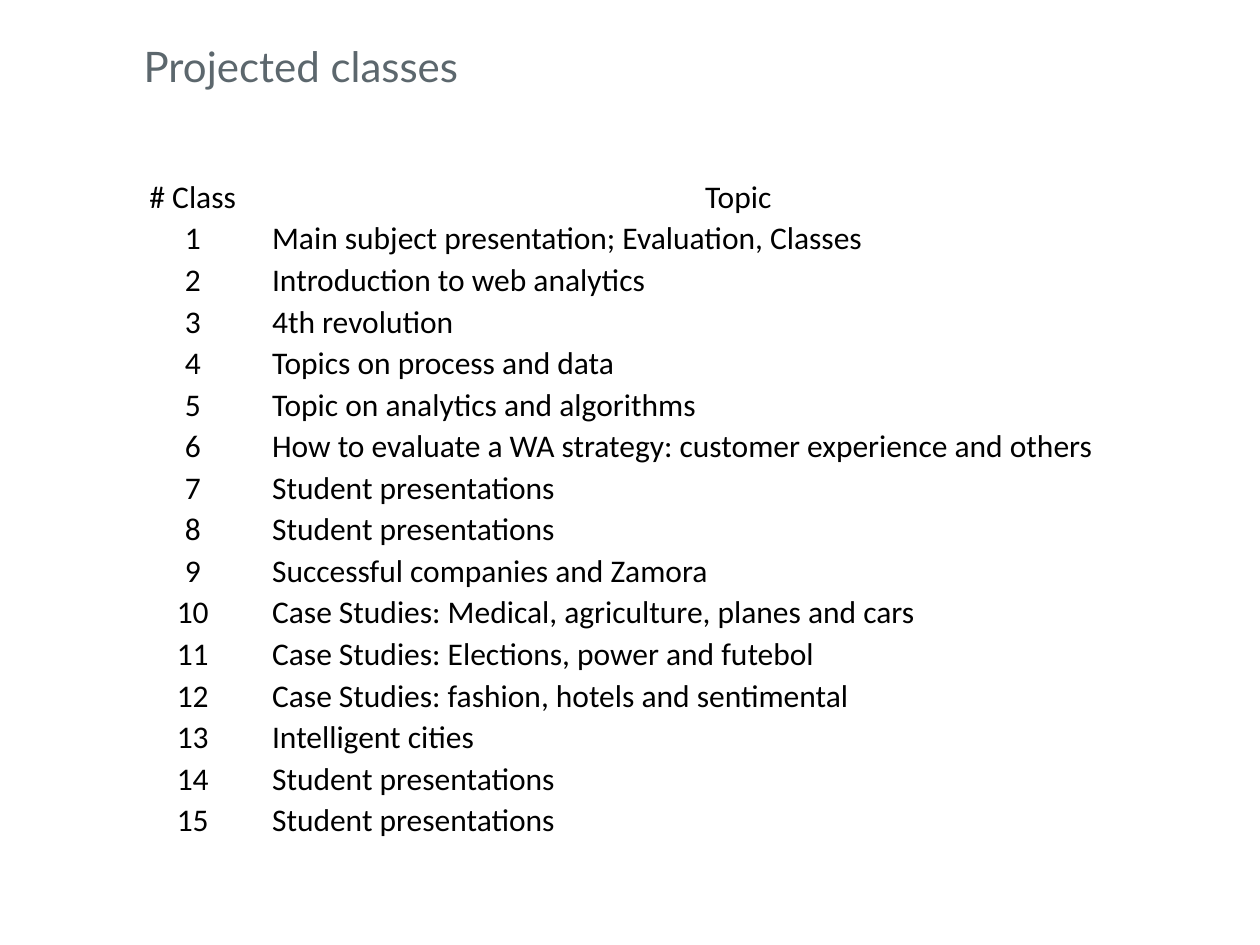
from dataclasses import dataclass

from pptx import Presentation
from pptx.dml.color import RGBColor
from pptx.enum.text import MSO_ANCHOR, PP_ALIGN
from pptx.util import Inches, Pt

LEFT, CENTER = PP_ALIGN.LEFT, PP_ALIGN.CENTER
MIDDLE, BOTTOM = MSO_ANCHOR.MIDDLE, MSO_ANCHOR.BOTTOM

SLIDE_WIDTH, SLIDE_HEIGHT = 10, 7.5
ROW_HEIGHT = 0.33
COLUMN_WIDTHS = (1.24, 7.42)
CELL_INSET = 0.01

TOPICS = (
    "Main subject presentation; Evaluation, Classes",
    "Introduction to web analytics",
    "4th revolution",
    "Topics on process and data",
    "Topic on analytics and algorithms",
    "How to evaluate a WA strategy: customer experience and others",
    "Student presentations",
    "Student presentations",
    "Successful companies and Zamora",
    "Case Studies: Medical, agriculture, planes and cars",
    "Case Studies: Elections, power and futebol",
    "Case Studies: fashion, hotels and sentimental",
    "Intelligent cities",
    "Student presentations",
    "Student presentations",
)


@dataclass(frozen=True)
class ClassRow:
    number: str
    topic: str
    topic_alignment: PP_ALIGN = LEFT


def color(value: str) -> RGBColor:
    return RGBColor.from_string(value)


def write_text(text_frame, text: str, *, size: float, font: str, fill: str,
               alignment: PP_ALIGN = LEFT) -> None:
    paragraph = text_frame.paragraphs[0]
    paragraph.alignment = alignment
    run = paragraph.add_run()
    run.text = text
    run.font.size = Pt(size)
    run.font.name = font
    run.font.color.rgb = color(fill)


def add_title(slide, text: str) -> None:
    shape = slide.shapes.add_textbox(Inches(1.14), Inches(-0.1), Inches(8.82), Inches(1.25))
    frame = shape.text_frame
    frame.word_wrap = True
    frame.vertical_anchor = MIDDLE
    frame.margin_left = frame.margin_right = frame.margin_top = frame.margin_bottom = 0
    write_text(frame, text, size=24, font="Lato", fill="5C676D")


def fill_cell(cell, text: str, alignment: PP_ALIGN) -> None:
    cell.fill.background()
    cell.vertical_anchor = BOTTOM
    cell.margin_left = cell.margin_right = cell.margin_top = Inches(CELL_INSET)
    cell.margin_bottom = 0
    write_text(cell.text_frame, text, size=18, font="Calibri", fill="000000",
               alignment=alignment)


def add_schedule(slide, class_rows: list[ClassRow]) -> None:
    table = slide.shapes.add_table(
        len(class_rows), len(COLUMN_WIDTHS), Inches(0.91), Inches(1.39),
        Inches(sum(COLUMN_WIDTHS)), Inches(ROW_HEIGHT * len(class_rows))).table
    table.first_row = False
    table.horz_banding = False
    for column, width in zip(table.columns, COLUMN_WIDTHS):
        column.width = Inches(width)
    for index, class_row in enumerate(class_rows):
        table.rows[index].height = Inches(ROW_HEIGHT)
        fill_cell(table.cell(index, 0), class_row.number, CENTER)
        fill_cell(table.cell(index, 1), class_row.topic, class_row.topic_alignment)


def main() -> None:
    presentation = Presentation()
    presentation.slide_width = Inches(SLIDE_WIDTH)
    presentation.slide_height = Inches(SLIDE_HEIGHT)
    slide = presentation.slides.add_slide(presentation.slide_layouts[6])

    # Schedule: a heading row, then one row per class
    heading = ClassRow("# Class", "Topic", CENTER)
    classes = [ClassRow(str(number), topic) for number, topic in enumerate(TOPICS, 1)]
    add_schedule(slide, [heading, *classes])

    # Title
    add_title(slide, "Projected classes")

    presentation.save("out.pptx")


if __name__ == "__main__":
    main()
